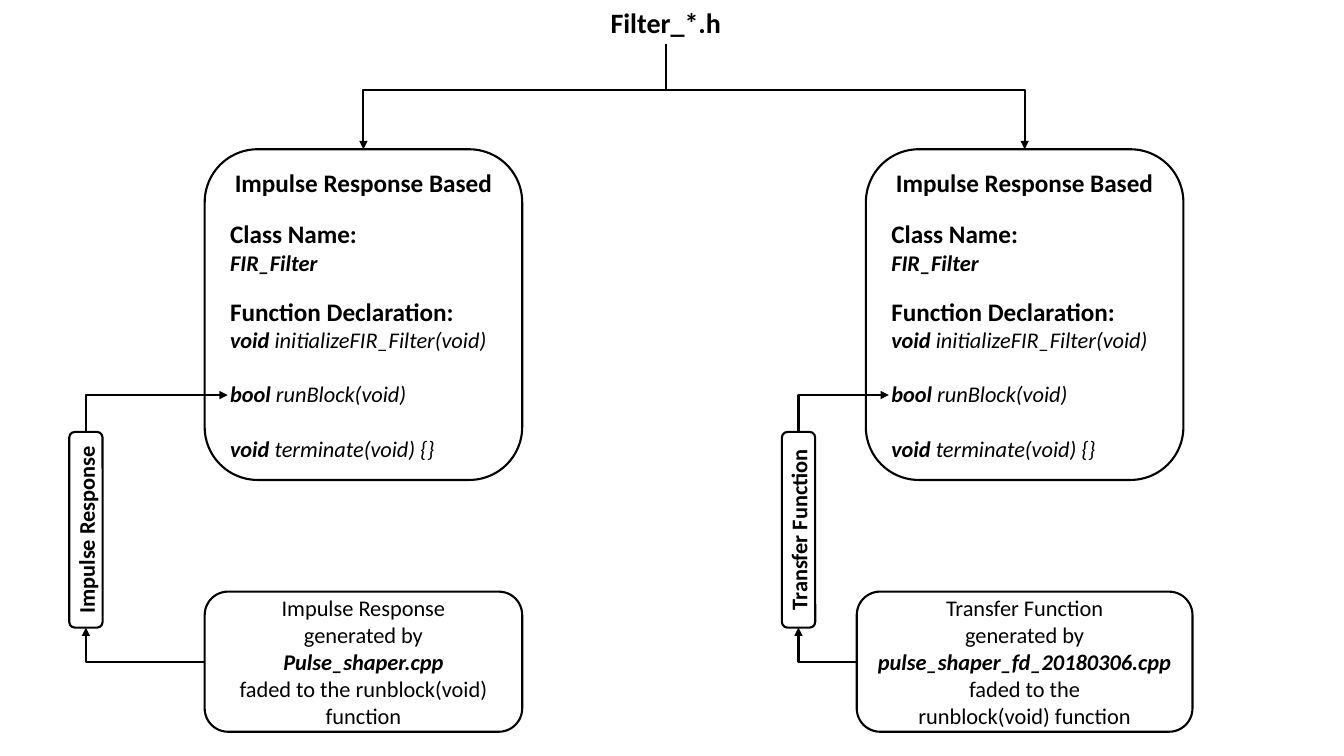
"""Build a slide that maps a filter header to its two filter classes and their inputs."""
from dataclasses import dataclass
from typing import NamedTuple

import pptx
import pptx.dml.color
import pptx.enum.shapes
import pptx.enum.text
import pptx.oxml
import pptx.oxml.ns
import pptx.util

Pt = pptx.util.Pt
ALIGN = pptx.enum.text.PP_ALIGN


@dataclass(frozen=True)
class Theme:
    font: str = "Calibri"
    ink: pptx.dml.color.RGBColor = pptx.dml.color.RGBColor(0, 0, 0)
    paper: pptx.dml.color.RGBColor = pptx.dml.color.RGBColor(255, 255, 255)
    title: float = 20
    heading: float = 18
    body: float = 16
    stroke: float = 1.5
    section_gap: float = 14.65
    function_gap: float = 19.53


THEME = Theme()


class Point(NamedTuple):
    x: float
    y: float


class Box(NamedTuple):
    left: float
    top: float
    width: float
    height: float


class Span(NamedTuple):
    text: str
    bold: bool = False
    italic: bool = False


class Line(NamedTuple):
    spans: tuple[Span, ...]
    size: float = THEME.body
    align: ALIGN = ALIGN.CENTER
    gap: float = 0


class Branch(NamedTuple):
    class_left: float
    tag_center: float
    tag: str
    generator_left: float
    generator_width: float
    generator: tuple[Line, ...]


def add_span(para, text: str, *, size: float, bold: bool = False, italic: bool = False) -> None:
    span = para.add_run()
    span.text = text
    span.font.name = THEME.font
    span.font.size = Pt(size)
    span.font.bold = bold
    span.font.italic = italic
    span.font.color.rgb = THEME.ink


def fill_text(frame, lines: tuple[Line, ...]) -> None:
    frame.word_wrap = True
    frame.auto_size = pptx.enum.text.MSO_AUTO_SIZE.NONE
    frame.vertical_anchor = pptx.enum.text.MSO_ANCHOR.MIDDLE
    for index, line in enumerate(lines):
        para = frame.add_paragraph() if index else frame.paragraphs[0]
        para.alignment = line.align
        para.line_spacing = 1.0
        para.space_before = Pt(line.gap)
        for span in line.spans:
            add_span(para, span.text, size=line.size, bold=span.bold, italic=span.italic)


def add_box(slide, box: Box, lines: tuple[Line, ...], rotation: float = 0) -> None:
    shape = slide.shapes.add_shape(
        pptx.enum.shapes.MSO_SHAPE.ROUNDED_RECTANGLE, *map(Pt, box))
    shape.rotation = rotation
    shape.shadow.inherit = False
    shape.fill.solid()
    shape.fill.fore_color.rgb = THEME.paper
    shape.line.color.rgb = THEME.ink
    shape.line.width = Pt(THEME.stroke)
    fill_text(shape.text_frame, lines)


def add_link(slide, start: Point, end: Point, arrow: str = "") -> None:
    """Draw a straight line, or an elbow that leaves its start horizontally."""
    kinds = pptx.enum.shapes.MSO_CONNECTOR
    bent = start.x != end.x
    link = slide.shapes.add_connector(
        kinds.ELBOW if bent else kinds.STRAIGHT, *map(Pt, start + end))
    link.line.color.rgb = THEME.ink
    link.line.width = Pt(THEME.stroke)
    properties = link._element.spPr
    if bent:
        properties.find(pptx.oxml.ns.qn("a:prstGeom")).set("prst", "bentConnector2")
    if arrow:
        head = pptx.oxml.parse_xml(f'<a:{arrow} {pptx.oxml.ns.nsdecls("a")} type="triangle"/>')
        properties.find(pptx.oxml.ns.qn("a:ln")).append(head)
    properties.append(pptx.oxml.parse_xml(f'<a:effectLst {pptx.oxml.ns.nsdecls("a")}/>'))


def heading(text: str, align: ALIGN = ALIGN.LEFT, gap: float = 0) -> Line:
    return Line((Span(text, bold=True),), THEME.heading, align, gap)


def declaration(kind: str, signature: str, gap: float = 0) -> Line:
    spans = (Span(kind, bold=True, italic=True), Span(f" {signature}", italic=True))
    return Line(spans, align=ALIGN.LEFT, gap=gap)


def generator_lines(source: str, file_name: str, *usage: str) -> tuple[Line, ...]:
    spans = (Span(source), Span("generated by"), Span(file_name, bold=True, italic=True),
             *map(Span, usage))
    return tuple(Line((span,)) for span in spans)


CLASS_LINES = (
    heading("Impulse Response Based", ALIGN.CENTER),
    heading("Class Name:", gap=THEME.section_gap),
    Line((Span("FIR_Filter", bold=True, italic=True),), align=ALIGN.LEFT),
    heading("Function Declaration:", gap=THEME.section_gap),
    declaration("void", "initializeFIR_Filter(void)"),
    declaration("bool", "runBlock(void)", THEME.function_gap),
    declaration("void", "terminate(void) {}", THEME.function_gap),
)
BRANCHES = (
    Branch(146.2, 61.4, "Impulse Response", 146.2, 226.8,
           generator_lines("Impulse Response", "Pulse_shaper.cpp",
                           "faded to the runblock(void) function")),
    Branch(618.5, 570.4, "Transfer Function", 612, 239.8,
           generator_lines("Transfer Function", "pulse_shaper_fd_20180306.cpp",
                           "faded to the", "runblock(void) function")),
)
TITLE = Box(423.4, 0, 104.4, 31.7)
CLASS_TOP, CLASS_WIDTH, CLASS_HEIGHT = 106.6, 226.8, 236.2
GENERATOR_TOP, GENERATOR_HEIGHT = 422.6, 100.1
TAG_MIDDLE, TAG_LENGTH, TAG_THICKNESS = 378.4, 139.8, 23.8
RUN_BLOCK_Y, RUN_BLOCK_INSET = 282.2, 16.5
FORK = Point(475.9, 64.6)


def draw_branch(slide, branch: Branch) -> None:
    add_box(slide, Box(branch.class_left, CLASS_TOP, CLASS_WIDTH, CLASS_HEIGHT), CLASS_LINES)
    add_box(slide, Box(branch.generator_left, GENERATOR_TOP, branch.generator_width,
                       GENERATOR_HEIGHT), branch.generator)
    add_box(slide, Box(branch.tag_center - TAG_LENGTH / 2, TAG_MIDDLE - TAG_THICKNESS / 2,
                       TAG_LENGTH, TAG_THICKNESS),
            (Line((Span(branch.tag, bold=True),)),), rotation=270)
    add_link(slide, FORK, Point(branch.class_left + CLASS_WIDTH / 2, CLASS_TOP), "tailEnd")
    add_link(slide, Point(branch.generator_left, GENERATOR_TOP + GENERATOR_HEIGHT / 2),
             Point(branch.tag_center, TAG_MIDDLE + TAG_LENGTH / 2), "tailEnd")
    add_link(slide, Point(branch.class_left + RUN_BLOCK_INSET, RUN_BLOCK_Y),
             Point(branch.tag_center, TAG_MIDDLE - TAG_LENGTH / 2), "headEnd")


def main() -> None:
    deck = pptx.Presentation()
    deck.slide_width, deck.slide_height = Pt(960), Pt(540)
    slide = deck.slides.add_slide(deck.slide_layouts.get_by_name("Title Only"))
    title = slide.shapes.title
    title.left, title.top, title.width, title.height = map(Pt, TITLE)
    fill_text(title.text_frame, (Line((Span("Filter_*.h", bold=True),), THEME.title),))
    add_link(slide, Point(FORK.x, TITLE.height), FORK)
    for branch in BRANCHES:
        draw_branch(slide, branch)
    deck.save("out.pptx")


main()
